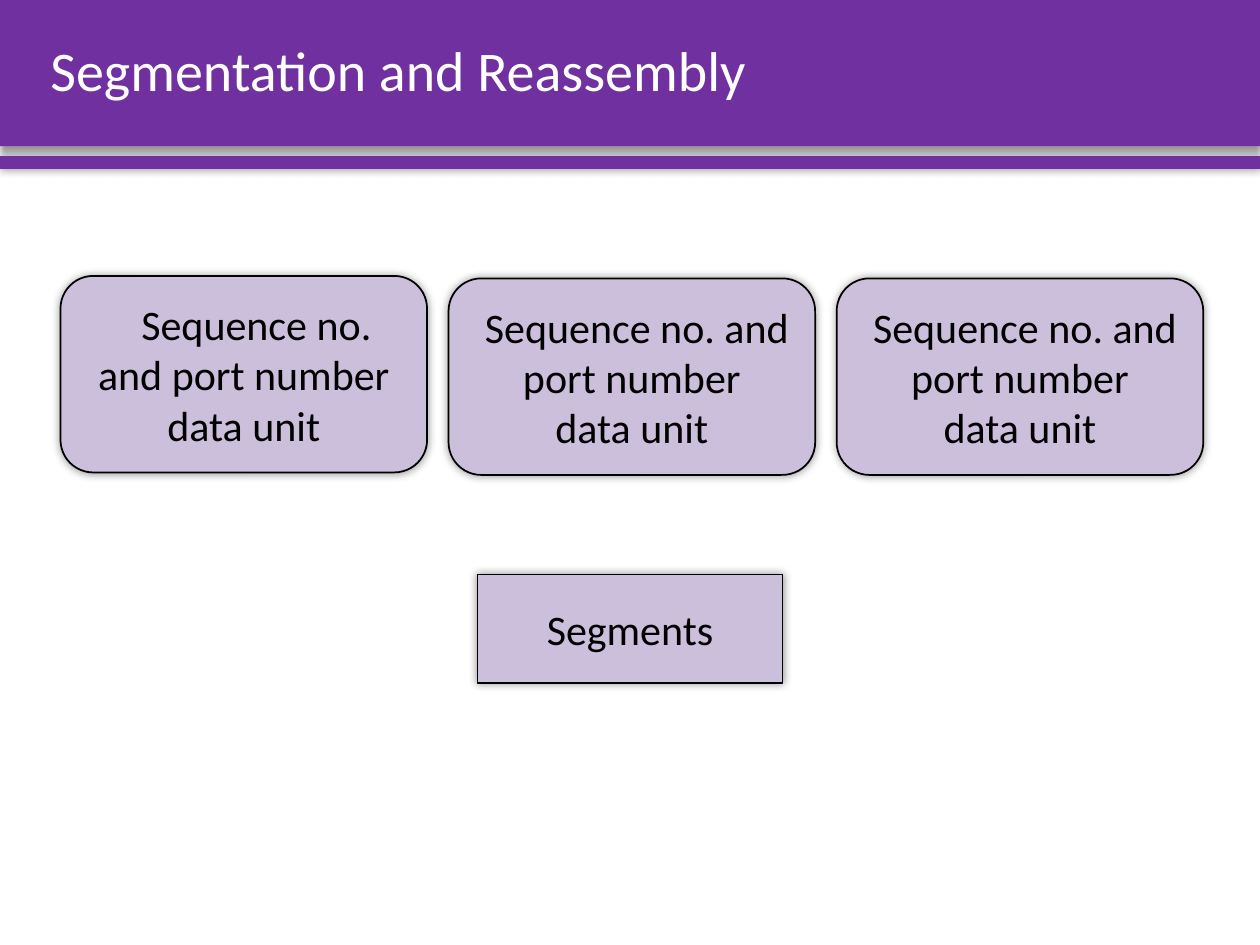
from dataclasses import dataclass
from lxml import etree
from pptx import Presentation
from pptx import util as u
from pptx.dml.color import RGBColor
from pptx.enum import shapes, text
from pptx.oxml.ns import qn


@dataclass(frozen=True)
class Theme:
    """Colours, font and type sizes of the slide."""
    band: str = "7030A0"
    tile: str = "CCBFDB"
    ink: str = "000000"
    pale: str = "FFFFFF"
    face: str = "Calibri"
    head: int = 32
    body: int = 24


THEME = Theme()
WIDE, HIGH = 10, 7.5
LEFT, STEP, TILE = 0.48, 3.08, (2.91, 1.56)


def tint(name):
    """Turn a hex name into a colour."""
    return RGBColor.from_string(name)


def place(item, left, top, wide, high):
    """Move and size an item in inches."""
    item.left, item.top = u.Inches(left), u.Inches(top)
    item.width, item.height = u.Inches(wide), u.Inches(high)


def style(para, size, color):
    """Set the font of a paragraph."""
    font = para.font
    font.name, font.size = THEME.face, u.Pt(size)
    font.color.rgb = tint(color)


def shade(shape, blur, dist, angle):
    """Give a shape a soft outer shadow."""
    shape.shadow.inherit = False
    group = shape._element.spPr.find(qn("a:effectLst"))
    outer = etree.SubElement(group, qn("a:outerShdw"), blurRad=str(u.Pt(blur)),
                             dist=str(u.Pt(dist)), dir=str(angle * 60000),
                             algn="ctr", rotWithShape="0")
    color = etree.SubElement(outer, qn("a:srgbClr"), val=THEME.ink)
    etree.SubElement(color, qn("a:alpha"), val="40000")


def block(slide, kind, area, fill, cast=(5, 0, 0)):
    """Draw a filled shape with a shadow and no line."""
    shape = slide.shapes.add_shape(kind, *map(u.Inches, area))
    shape.fill.solid()
    shape.fill.fore_color.rgb = tint(fill)
    shape.line.fill.background()
    shade(shape, *cast)
    return shape


def label(slide, kind, area, lines, indent=0):
    """Draw an outlined tile with centred lines of text."""
    shape = block(slide, kind, area, THEME.tile)
    shape.line.color.rgb = tint(THEME.ink)
    shape.line.width = u.Pt(1)
    frame = shape.text_frame
    frame.word_wrap = True
    frame.vertical_anchor = text.MSO_ANCHOR.MIDDLE
    frame.text = "\n".join(lines)
    for para in frame.paragraphs:
        para.alignment = text.PP_ALIGN.CENTER
        style(para, THEME.body, THEME.ink)
    if indent:
        frame.paragraphs[0]._p.get_or_add_pPr().set("indent", str(u.Inches(indent)))


def header(slide, words):
    """Draw the title over its two bands."""
    rect = shapes.MSO_SHAPE.RECTANGLE
    block(slide, rect, (0, 0, WIDE, 1.16), THEME.band, (4, 3, 90))
    block(slide, rect, (0, 1.24, WIDE, 0.1), THEME.band)
    title = slide.shapes.title
    slide.shapes._spTree.append(title._element)
    place(title, 0.3, 0, 9.46, 1.16)
    frame = title.text_frame
    frame.text = words
    frame.word_wrap = True
    frame.vertical_anchor = text.MSO_ANCHOR.MIDDLE
    para = frame.paragraphs[0]
    para.alignment = text.PP_ALIGN.LEFT
    para.line_spacing = 0.9
    style(para, THEME.head, THEME.pale)


def main():
    """Build and save the slide."""
    deck = Presentation()
    deck.slide_width, deck.slide_height = u.Inches(WIDE), u.Inches(HIGH)
    slide = deck.slides.add_slide(deck.slide_layouts[5])
    header(slide, "Segmentation and Reassembly")
    unit = ("Sequence no. and port number", "data unit")
    for col, (top, indent) in enumerate([(2.19, 0.2), (2.21, 0.08), (2.21, 0.08)]):
        label(slide, shapes.MSO_SHAPE.ROUNDED_RECTANGLE,
              (LEFT + col * STEP, top, *TILE), unit, indent)
    label(slide, shapes.MSO_SHAPE.RECTANGLE, (3.79, 4.56, 2.42, 0.86), ["Segments"])
    deck.save("out.pptx")


if __name__ == "__main__":
    main()
